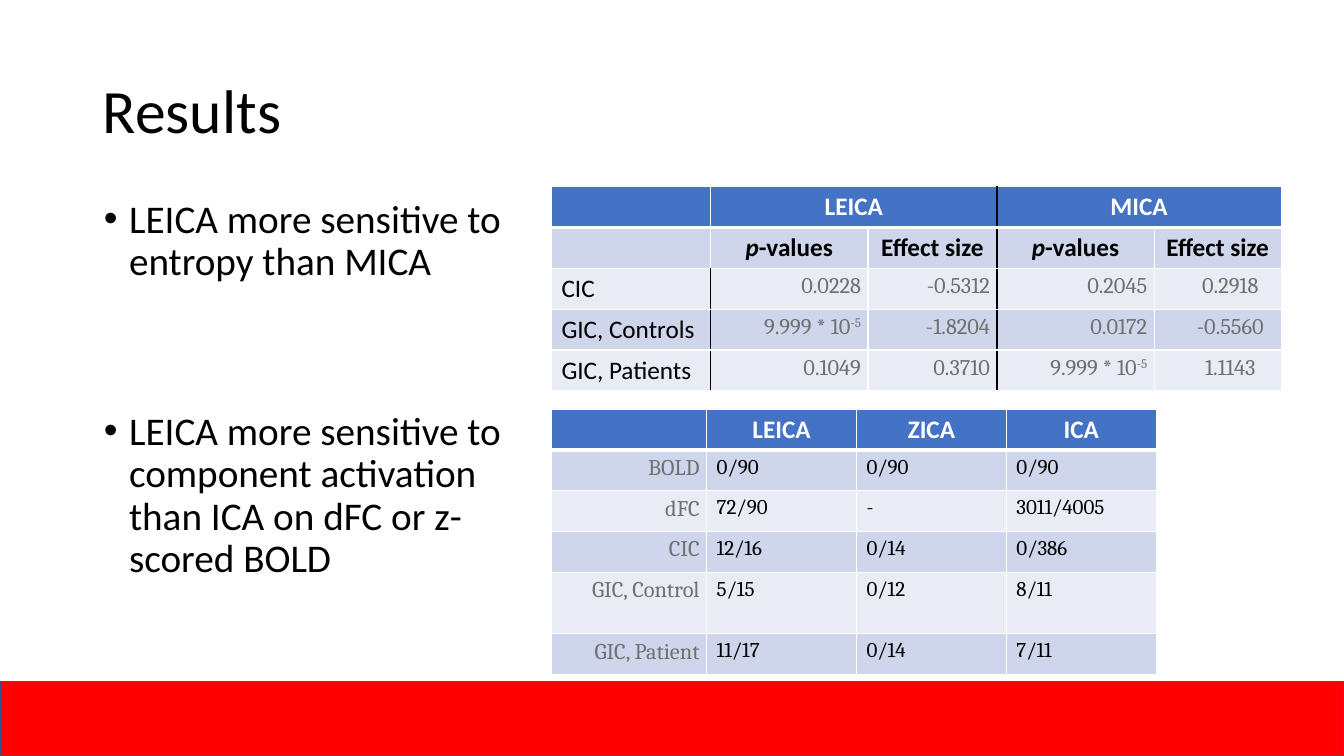
from dataclasses import dataclass, field

from lxml import etree
from pptx import Presentation
from pptx import util as u
from pptx.dml.color import RGBColor
from pptx.enum import shapes, text
from pptx.oxml import ns

LEFT, CENTER, RIGHT = text.PP_ALIGN.LEFT, text.PP_ALIGN.CENTER, text.PP_ALIGN.RIGHT
SLIDE_W, SLIDE_H = u.Inches(13.33), u.Inches(7.5)


@dataclass(frozen=True)
class Theme:
    sans: str = "Calibri"
    serif: str = "Cambria"
    black: str = "000000"
    white: str = "FFFFFF"
    grey: str = "707070"
    header: str = "4472C4"
    bands: tuple[str, str] = ("CFD5EA", "E9EBF5")
    bar: str = "FF0000"
    bar_line: str = "325491"
    title: float = 44
    bullet: float = 28
    label: float = 18
    value: float = 16
    count: float = 15


T = Theme()


@dataclass(frozen=True)
class Box:
    """Left, top, width and height as percentages of the slide."""
    x: float
    y: float
    w: float
    h: float


@dataclass(frozen=True)
class Run:
    text: str
    italic: bool = False
    raised: bool = False


@dataclass(frozen=True)
class Style:
    size: float
    font: str
    color: str
    bold: bool = False
    align: text.PP_ALIGN = LEFT
    hanging: bool = False


@dataclass(frozen=True)
class Grid:
    x: float
    y: float
    cols: list[float]
    rows: list[float]
    cells: list[list[str | list[Run]]]
    styles: list[list[Style]]
    merges: list[tuple[int, int]] = field(default_factory=list)
    rules: set[tuple[int, int]] = field(default_factory=set)  # black line left of (row, col)


TITLE = Style(T.title, T.sans, T.black)
BULLET = Style(T.bullet, T.sans, T.black)
HEAD = Style(T.label, T.sans, T.white, True, CENTER)
SUBHEAD = Style(T.label, T.sans, T.black, True, CENTER)
LABEL = Style(T.label, T.sans, T.black)
VALUE = Style(T.value, T.serif, T.grey, align=RIGHT, hanging=True)
VALUE_MID = Style(T.value, T.serif, T.grey, align=CENTER, hanging=True)
COUNT = Style(T.count, T.serif, T.black)

P_VALUES = [Run("p", italic=True), Run("-values")]
TINY_P = [Run("9.999 * 10"), Run("-5", raised=True)]

ENTROPY = Grid(
    41.03, 24.67, [11.85, 11.7, 9.6, 11.7, 9.45], [5.41] * 5,
    [["", "LEICA", "", "MICA", ""],
     ["", P_VALUES, "Effect size", P_VALUES, "Effect size"],
     ["CIC", "0.0228", "-0.5312", "0.2045", "0.2918"],
     ["GIC, Controls", TINY_P, "-1.8204", "0.0172", "-0.5560"],
     ["GIC, Patients", "0.1049", "0.3710", TINY_P, "1.1143"]],
    [[HEAD] * 5, [SUBHEAD] * 5] + [[LABEL, VALUE, VALUE, VALUE, VALUE_MID]] * 3,
    merges=[(1, 2), (3, 4)],
    rules={(r, 3) for r in range(5)} | {(r, 1) for r in range(2, 5)},
)
ACTIVATION = Grid(
    41.03, 54.13, [11.55] + [11.15] * 3, [5.4] * 4 + [8.1, 5.4],
    [["", "LEICA", "ZICA", "ICA"],
     ["BOLD", "0/90", "0/90", "0/90"],
     ["dFC", "72/90", "-", "3011/4005"],
     ["CIC", "12/16", "0/14", "0/386"],
     ["GIC, Control", "5/15", "0/12", "8/11"],
     ["GIC, Patient", "11/17", "0/14", "7/11"]],
    [[HEAD] * 4] + [[VALUE] + [COUNT] * 3] * 5,
)
BULLETS = [
    ("LEICA more sensitive to entropy than MICA", 0),
    ("LEICA more sensitive to component activation than ICA on dFC or z-scored BOLD", 91),
]


def across(share: float) -> int:
    return round(SLIDE_W * share / 100)


def down(share: float) -> int:
    return round(SLIDE_H * share / 100)


def place(box: Box) -> tuple[int, int, int, int]:
    return across(box.x), down(box.y), across(box.w), down(box.h)


def add_runs(p, content: str | list[Run], style: Style) -> None:
    p.alignment = style.align
    for run in [Run(content)] if isinstance(content, str) else content:
        r = p.add_run()
        r.text = run.text
        f = r.font
        f.name, f.size = style.font, u.Pt(style.size)
        f.bold, f.italic = style.bold, run.italic
        f.color.rgb = RGBColor.from_string(style.color)
        if run.raised:
            r._r.get_or_add_rPr().set("baseline", "30000")


def indent(p, left: float, first: float):
    pPr = p._p.get_or_add_pPr()
    pPr.set("marL", str(u.Inches(left)))
    pPr.set("indent", str(u.Inches(first)))
    return pPr


def fill_placeholder(sp, box: Box, anchor: text.MSO_ANCHOR):
    sp.left, sp.top, sp.width, sp.height = place(box)
    tf = sp.text_frame
    tf.word_wrap, tf.auto_size = True, text.MSO_AUTO_SIZE.NONE
    tf.vertical_anchor = anchor
    return tf


def add_title(s) -> None:
    tf = fill_placeholder(s.shapes.title, Box(6.9, 5.33, 86.25, 19.33), text.MSO_ANCHOR.MIDDLE)
    p = tf.paragraphs[0]
    p.line_spacing = 0.9
    add_runs(p, "Results", TITLE)


def add_bullets(s) -> None:
    tf = fill_placeholder(s.placeholders[1], Box(6.98, 25.73, 34.05, 63.47), text.MSO_ANCHOR.TOP)
    for i, (line, gap) in enumerate(BULLETS):
        p = tf.add_paragraph() if i else tf.paragraphs[0]
        pPr = indent(p, 0.25, -0.25)
        etree.SubElement(pPr, ns.qn("a:buFont"), typeface="Arial")
        etree.SubElement(pPr, ns.qn("a:buChar"), char="•")
        p.line_spacing, p.space_before = 0.9, u.Pt(gap)
        add_runs(p, line, BULLET)


def add_bar(s) -> None:
    sp = s.shapes.add_shape(shapes.MSO_SHAPE.RECTANGLE, *place(Box(0, 90.13, 100, 9.87)))
    sp.shadow.inherit = False
    sp.fill.solid()
    sp.fill.fore_color.rgb = RGBColor.from_string(T.bar)
    sp.line.color.rgb = RGBColor.from_string(T.bar_line)
    sp.line.width = u.Pt(1)


def add_border(cell, side: str, color: str, width: float) -> None:
    ln = etree.SubElement(cell._tc.get_or_add_tcPr(), ns.qn(f"a:ln{side}"), w=str(u.Pt(width)))
    solid = etree.SubElement(ln, ns.qn("a:solidFill"))
    etree.SubElement(solid, ns.qn("a:srgbClr"), val=color)


def add_grid(s, grid: Grid) -> None:
    box = Box(grid.x, grid.y, sum(grid.cols), sum(grid.rows))
    table = s.shapes.add_table(len(grid.rows), len(grid.cols), *place(box)).table
    for col, share in zip(table.columns, grid.cols):
        col.width = across(share)
    for row, share in zip(table.rows, grid.rows):
        row.height = down(share)
    for first, last in grid.merges:
        table.cell(0, first).merge(table.cell(0, last))
    for r, row in enumerate(grid.cells):
        for c, content in enumerate(row):
            cell, style = table.cell(r, c), grid.styles[r][c]
            add_border(cell, "L", T.black if (r, c) in grid.rules else T.white, 1)
            add_border(cell, "R", T.black if (r, c + 1) in grid.rules else T.white, 1)
            add_border(cell, "T", T.white, 3 if r == 1 else 1)
            add_border(cell, "B", T.white, 1 if r else 3)
            cell.fill.solid()
            cell.fill.fore_color.rgb = RGBColor.from_string(T.bands[(r - 1) % 2] if r else T.header)
            p = cell.text_frame.paragraphs[0]
            if style.hanging:
                cell.margin_left = cell.margin_right = u.Inches(0.07)
                cell.margin_top = cell.margin_bottom = 0
                indent(p, 0.5, -0.25)
                p.line_spacing = 1.2
            if content:
                add_runs(p, content, style)


def main() -> None:
    prs = Presentation()
    prs.slide_width, prs.slide_height = SLIDE_W, SLIDE_H
    s = prs.slides.add_slide(prs.slide_layouts[1])
    add_title(s)
    add_bullets(s)
    add_bar(s)
    for grid in (ENTROPY, ACTIVATION):
        add_grid(s, grid)
    prs.save("out.pptx")


if __name__ == "__main__":
    main()
